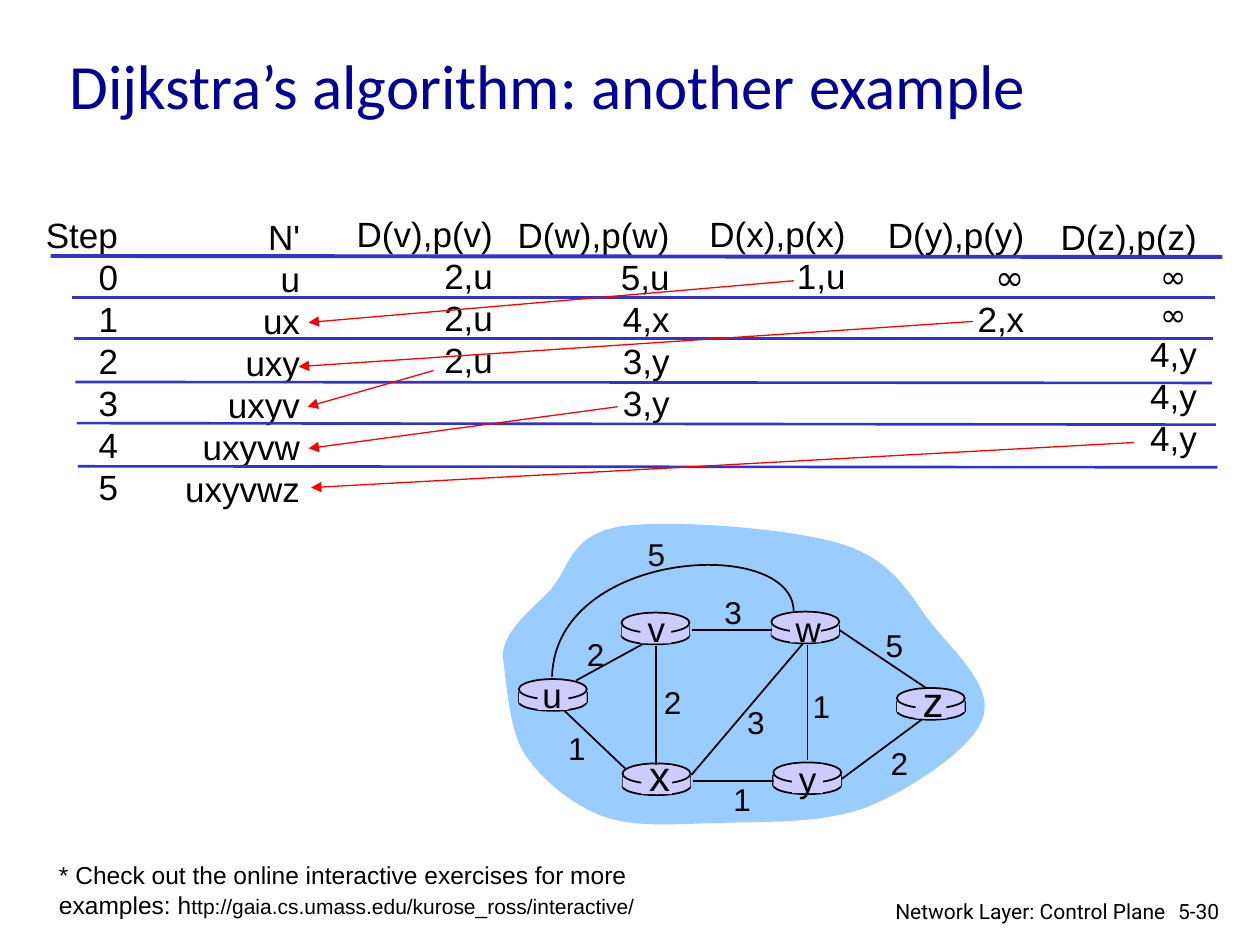
"""Build the slide with Dijkstra's step table and its router network."""
from pptx import Presentation
from pptx import util as u
from pptx.dml import color
from pptx.enum import shapes, text
from pptx.oxml import ns
from lxml import etree

BLACK, NAVY, BLUE, RED = "000000", "000099", "3333CC", "FF0000"
LILAC, SKY = "CCCCFF", "99CCFF"
LEFT, CENTER, RIGHT = text.PP_ALIGN.LEFT, text.PP_ALIGN.CENTER, text.PP_ALIGN.RIGHT
TOP, MIDDLE = text.MSO_ANCHOR.TOP, text.MSO_ANCHOR.MIDDLE

COLUMNS = [
    (0.66, 4.18, 1.97, ["Step", "0", "1", "2", "3", "4", "5"]),
    (3.48, 4.22, 2.82, ["N'", "u", "ux", "uxy", "uxyv", "uxyvw", "uxyvwz"]),
    (6.94, 4.16, 3.25, ["D(v),p(v)", "2,u", "2,u", "2,u"]),
    (10.15, 4.17, 3.6, ["D(w),p(w)", "5,u", "4,x", "3,y", "3,y"]),
    (14.05, 4.16, 3.25, ["D(x),p(x)", "1,u"]),
    (17.65, 4.17, 3.25, ["D(y),p(y)", "∞", "2,x"]),
    (21.13, 4.21, 3.25, ["D(z),p(z)", "∞ ", "∞ ", "4,y", "4,y", "4,y"]),
]
RULES = [
    (1.02, 5.16, 24.64, 5.18, 2.25),
    (1.45, 6, 24.49, 6, 1.5),
    (1.5, 6.83, 24.46, 6.83, 1.5),
    (1.52, 7.7, 24.43, 7.72, 1.5),
    (1.55, 8.53, 24.51, 8.56, 1.5),
    (1.57, 9.4, 24.54, 9.42, 1.5),
]
ARROWS = [
    (16, 5.66, 6.22, 6.5),
    (19.61, 6.48, 6.02, 7.39),
    (8.74, 7.47, 6.2, 8.2),
    (12.45, 8.2, 6.22, 9.04),
    (22.86, 8.92, 6.27, 9.83),
]
CLOUD = [
    (10.13, 13.23), (10.16, 12.7), (10.69, 12.32), (11.1, 11.89),
    (11.48, 11.46), (11.48, 10.8), (12.47, 10.62),
    (13.44, 10.46), (15.9, 10.64), (16.97, 10.97),
    (18.03, 11.3), (18.34, 12.01), (18.8, 12.6),
    (19.28, 13.18), (20.04, 13.87), (19.81, 14.48),
    (19.61, 15.09), (18.34, 15.93), (17.45, 16.28),
    (16.56, 16.61), (15.39, 16.56), (14.5, 16.59),
    (13.64, 16.61), (12.83, 16.69), (12.17, 16.46),
    (11.53, 16.23), (10.92, 15.72), (10.57, 15.19),
    (10.24, 14.66), (10.21, 13.64), (10.13, 13.23),
]
ARC = [(16, 12.32), (15.98, 10.8), (11.2, 11.07), (11.13, 13.64)]
ROUTERS = [
    ("u", 10.46, 13.97, 20, 11.13, 13.98), ("x", 12.55, 15.67, 24, 13.3, 15.62),
    ("v", 12.53, 12.63, 20, 13.23, 12.65), ("w", 15.55, 12.61, 20, 16.26, 12.65),
    ("y", 15.59, 15.65, 20, 16.28, 15.68), ("z", 18.08, 14.15, 24, 18.81, 14.12),
]
LINK_BEHIND = (11.61, 13.72, 13.11, 12.9)
LINKS = [
    (16.28, 13, 16.28, 15.32), (13.23, 13.03, 13.23, 15.42),
    (13.94, 15.62, 16.18, 12.98), (16.97, 15.7, 18.59, 14.5),
    (15.6, 15.75, 13.97, 15.75), (12.6, 15.49, 11.38, 14.33),
    (15.57, 12.7, 13.94, 12.7), (18.67, 13.87, 16.92, 12.7),
]
COSTS = [
    ("2", 11.58, 12.67), ("2", 13.13, 13.64), ("1", 11.2, 14.58),
    ("3", 14.81, 14.05), ("1", 14.53, 15.6), ("1", 16.13, 13.72),
    ("2", 17.7, 14.88), ("5", 17.6, 12.5), ("3", 14.35, 11.84), ("5", 12.8, 10.67),
]
NOTE = [
    ("* Check out the online interactive exercises for more examples: h", 14, "Arial"),
    ("ttp://gaia.cs.umass.edu/kurose_ross/interactive/", 12, "Arial"),
]

presentation = Presentation()
presentation.slide_width, presentation.slide_height = u.Cm(25.4), u.Cm(19.05)
slide = presentation.slides.add_slide(presentation.slide_layouts[6])


def rgb(value):
    return color.RGBColor.from_string(value)


def add_text(box, paragraphs, align=LEFT, ink=BLACK, wrap=True, anchor=TOP):
    frame = slide.shapes.add_textbox(*map(u.Cm, box)).text_frame
    frame.word_wrap, frame.vertical_anchor = wrap, anchor
    if not wrap:
        frame.auto_size = text.MSO_AUTO_SIZE.SHAPE_TO_FIT_TEXT
    for index, runs in enumerate(paragraphs):
        paragraph = frame.add_paragraph() if index else frame.paragraphs[0]
        paragraph.alignment = align
        for words, size, font in runs:
            run = paragraph.add_run()
            run.text = words
            run.font.size, run.font.name = u.Pt(size), font
            run.font.color.rgb = rgb(ink)


def add_line(ends, ink=BLACK, width=1, arrow=False):
    line = slide.shapes.add_connector(shapes.MSO_CONNECTOR.STRAIGHT, *map(u.Cm, ends))
    line.line.color.rgb, line.line.width = rgb(ink), u.Pt(width)
    if arrow:
        etree.SubElement(line.line._get_or_add_ln(), ns.qn("a:tailEnd"), type="triangle")
    etree.SubElement(line._element.spPr, ns.qn("a:effectLst"))


def paint(shape, fill=None, outlined=False):
    shape.shadow.inherit = False
    if fill:
        shape.fill.solid()
        shape.fill.fore_color.rgb = rgb(fill)
    else:
        shape.fill.background()
    if outlined:
        shape.line.color.rgb, shape.line.width = rgb(BLACK), u.Pt(1)
    else:
        shape.line.fill.background()


def add_part(kind, box, outlined=False):
    paint(slide.shapes.add_shape(kind, *map(u.Cm, box)), LILAC, outlined)


def add_curve(points, closed=False, **look):
    track = [(u.Cm(x), u.Cm(y)) for x, y in points]
    builder = slide.shapes.build_freeform(*track[0])
    builder.add_line_segments(track[1:], close=closed)
    shape = builder.convert_to_shape()
    segments = list(shape._element.iter(ns.qn("a:lnTo")))
    for first in range(0, len(segments), 3):
        curve, *others = segments[first:first + 3]
        curve.tag = ns.qn("a:cubicBezTo")
        for segment in others:
            curve.append(segment[0])
            segment.getparent().remove(segment)
    paint(shape, **look)


def add_router(left, top, width=1.37):
    oval, box = shapes.MSO_SHAPE.OVAL, shapes.MSO_SHAPE.RECTANGLE
    add_part(oval, (left, top, width, 0.36), True)
    for side in (left, left + width):
        add_line((side, top - 0.02, side, top + 0.2))
    add_part(box, (left, top - 0.02, width, 0.22))
    add_part(oval, (left, top - 0.28, width, 0.41), True)


def table_run(words):
    if "∞" not in words:
        return words, 20, "Arial"
    return words, 18 if words.endswith(" ") else 20, "Comic Neue"


add_text((1.15, 0.36, 23.24, 2.67), [[("Dijkstra’s algorithm: another example", 36, "Calibri")]],
         ink=NAVY, anchor=MIDDLE)
for left, top, width, cells in COLUMNS:
    add_text((left, top, width, 0.25 + 0.85 * len(cells)),
             [[table_run(cell)] for cell in cells], RIGHT, wrap=False)
for *ends, width in RULES:
    add_line(ends, BLUE, width)

add_curve(CLOUD, closed=True, fill=SKY)
add_line(LINK_BEHIND)
for name, left, top, *label in ROUTERS:
    add_router(left, top)
for ends in LINKS:
    add_line(ends)
add_curve(ARC, outlined=True)
for name, left, top, size, center, middle in ROUTERS:
    height = size * 0.053
    add_part(shapes.MSO_SHAPE.RECTANGLE, (left + 0.38, top - 0.24, 0.62, 0.58))
    add_text((center - 0.47, middle - height / 2, 0.94, height), [[(name, size, "Arial")]],
             CENTER, wrap=False)
for cost, left, top in COSTS:
    add_text((left, top, 0.86, 1.02), [[(cost, 18, "Arial")]], CENTER, wrap=False)

for ends in ARROWS:
    add_line(ends, RED, 0.75, arrow=True)
add_text((23.5, 17.98, 1.52, 0.76), [[("5-30", 12, "Roboto")]])
add_text((17.7, 17.98, 6.05, 0.66), [[("Network Layer: Control Plane", 12, "Roboto")]], RIGHT)
add_text((0.94, 17.22, 12.52, 1.45), [NOTE])
presentation.save("out.pptx")
